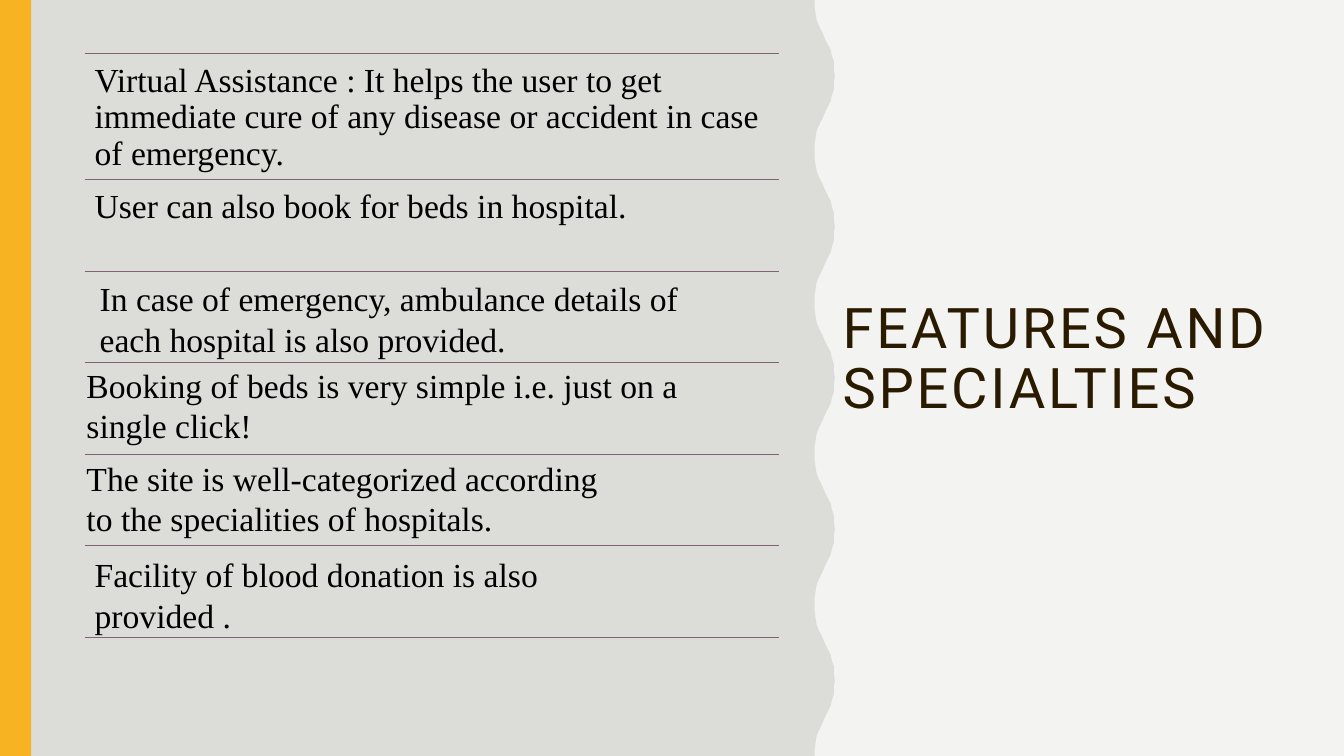
from lxml import etree
from pptx import Presentation
from pptx import util as u
from pptx.dml.color import RGBColor
from pptx.enum import shapes, text
from pptx.oxml.ns import qn

PAPER = RGBColor(0xF3, 0xF3, 0xF2)
PANEL = RGBColor(0xDC, 0xDC, 0xD9)
AMBER = RGBColor(0xF8, 0xB3, 0x23)
BROWN = RGBColor(0x2A, 0x1A, 0x00)
MAUVE = RGBColor(0x82, 0x62, 0x76)
BLACK = RGBColor(0, 0, 0)

# Half a wave of the panel edge, in hundredths of an inch
HALF_WAVE = [(808, 0), (808, 7), (809, 14), (810, 20), (812, 25), (814, 29),
             (816, 33), (818, 38), (820, 42), (822, 46), (824, 50), (825, 55),
             (827, 61), (827, 68), (828, 75)]
WAVE_HEIGHT = 150
WAVE_COUNT = 5

RULE_LEFT, RULE_RIGHT = 0.84, 7.73
FIRST_RULE, SECOND_RULE, RULE_STEP = 0.53, 1.78, 0.908

# Left, top, width, height, wording
FEATURES = [
    (0.84, 1.79, 6.09, 0.5, "User can also book for beds in hospital."),
    (0.89, 2.71, 6.48, 0.91, "In case of emergency, ambulance details of each hospital is also provided."),
    (0.76, 3.57, 6.24, 0.91, "Booking of beds is very simple i.e. just on a single click!"),
    (0.76, 4.49, 5.54, 0.91, "The site is well-categorized according to the specialities of hospitals."),
    (0.84, 5.45, 6.02, 0.91, "Facility of blood donation is also provided ."),
]


def write_text(frame, wording, font="Times New Roman", size=24, color=BLACK,
               line_spacing=1.0, tracking=None):
    para = frame.paragraphs[0]
    para.line_spacing = line_spacing
    span = para.add_run()
    span.text = wording
    span.font.name = font
    span.font.size = u.Pt(size)
    span.font.color.rgb = color
    if tracking:
        span.font._element.set("spc", str(tracking * 100))


class FeatureSlide:
    def __init__(self, deck):
        self.page = deck.slides.add_slide(deck.slide_layouts[6])
        self.page.background.fill.solid()
        self.page.background.fill.fore_color.rgb = PAPER

    def paint(self, shape, color):
        shape.shadow.inherit = False
        shape.fill.solid()
        shape.fill.fore_color.rgb = color
        shape.line.fill.background()

    def bar(self, left, top, width, height, color):
        lengths = map(u.Inches, (left, top, width, height))
        bar = self.page.shapes.add_shape(shapes.MSO_SHAPE.RECTANGLE, *lengths)
        self.paint(bar, color)

    def wavy_panel(self, color):
        wave = HALF_WAVE + [(x, WAVE_HEIGHT - y) for x, y in HALF_WAVE[-2::-1]]
        edge = [(x, y + WAVE_HEIGHT * i) for i in range(WAVE_COUNT) for x, y in wave]
        builder = self.page.shapes.build_freeform(0, 0, scale=u.Inches(0.01))
        builder.add_line_segments(edge + [(0, WAVE_HEIGHT * WAVE_COUNT)], close=True)
        self.paint(builder.convert_to_shape(), color)

    def rule(self, top):
        line = self.page.shapes.add_connector(
            shapes.MSO_CONNECTOR.STRAIGHT, u.Inches(RULE_LEFT), u.Inches(top),
            u.Inches(RULE_RIGHT), u.Inches(top))
        line.line.color.rgb = MAUVE
        line.line.width = u.Pt(0.5)
        etree.SubElement(line._element.spPr, qn("a:effectLst"))

    def text_box(self, left, top, width, height, wording, inset=0.05,
                 anchor=text.MSO_ANCHOR.TOP, **style):
        lengths = map(u.Inches, (left, top, width, height))
        frame = self.page.shapes.add_textbox(*lengths).text_frame
        frame.word_wrap = True
        frame.vertical_anchor = anchor
        frame.margin_top = frame.margin_bottom = u.Inches(inset)
        write_text(frame, wording, **style)


def main():
    deck = Presentation()
    deck.slide_width, deck.slide_height = u.Inches(13.33), u.Inches(7.5)
    slide = FeatureSlide(deck)

    # Backdrop
    slide.wavy_panel(PANEL)
    slide.bar(0, 0, 0.31, 7.5, AMBER)

    # Title
    slide.text_box(8.26, 0.53, 4.54, 6.09, "FEATURES AND SPECIALTIES",
                   anchor=text.MSO_ANCHOR.MIDDLE, font="Roboto", size=40,
                   color=BROWN, line_spacing=0.9, tracking=2)

    # Rules between the features
    for top in [FIRST_RULE] + [SECOND_RULE + RULE_STEP * i for i in range(6)]:
        slide.rule(top)

    # Features
    slide.text_box(RULE_LEFT, FIRST_RULE, RULE_RIGHT - RULE_LEFT, 1.25,
                   "Virtual Assistance : It helps the user to get immediate cure "
                   "of any disease or accident in case of emergency.",
                   inset=0.1, line_spacing=0.9)
    for feature in FEATURES:
        slide.text_box(*feature)

    deck.save("out.pptx")


if __name__ == "__main__":
    main()
